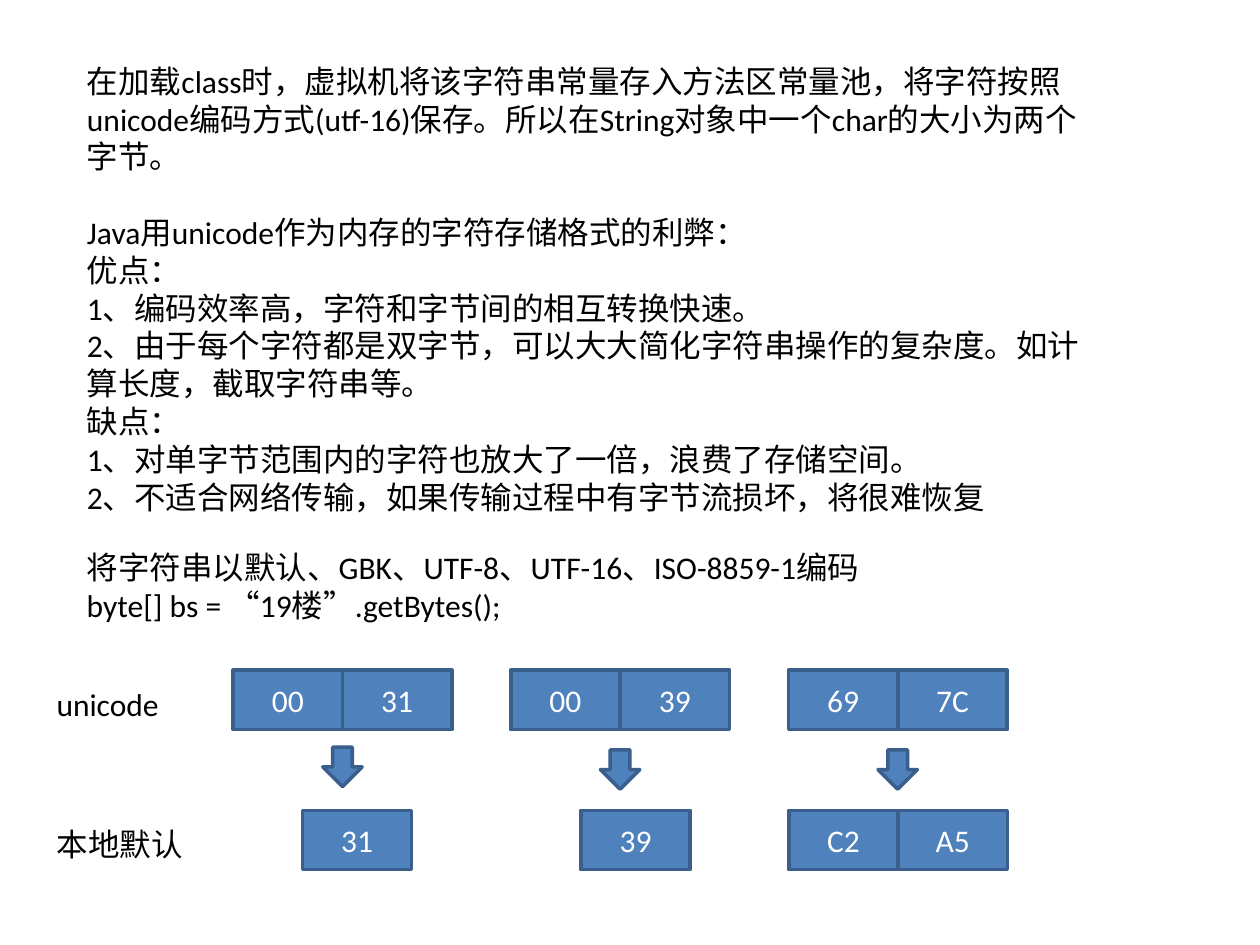
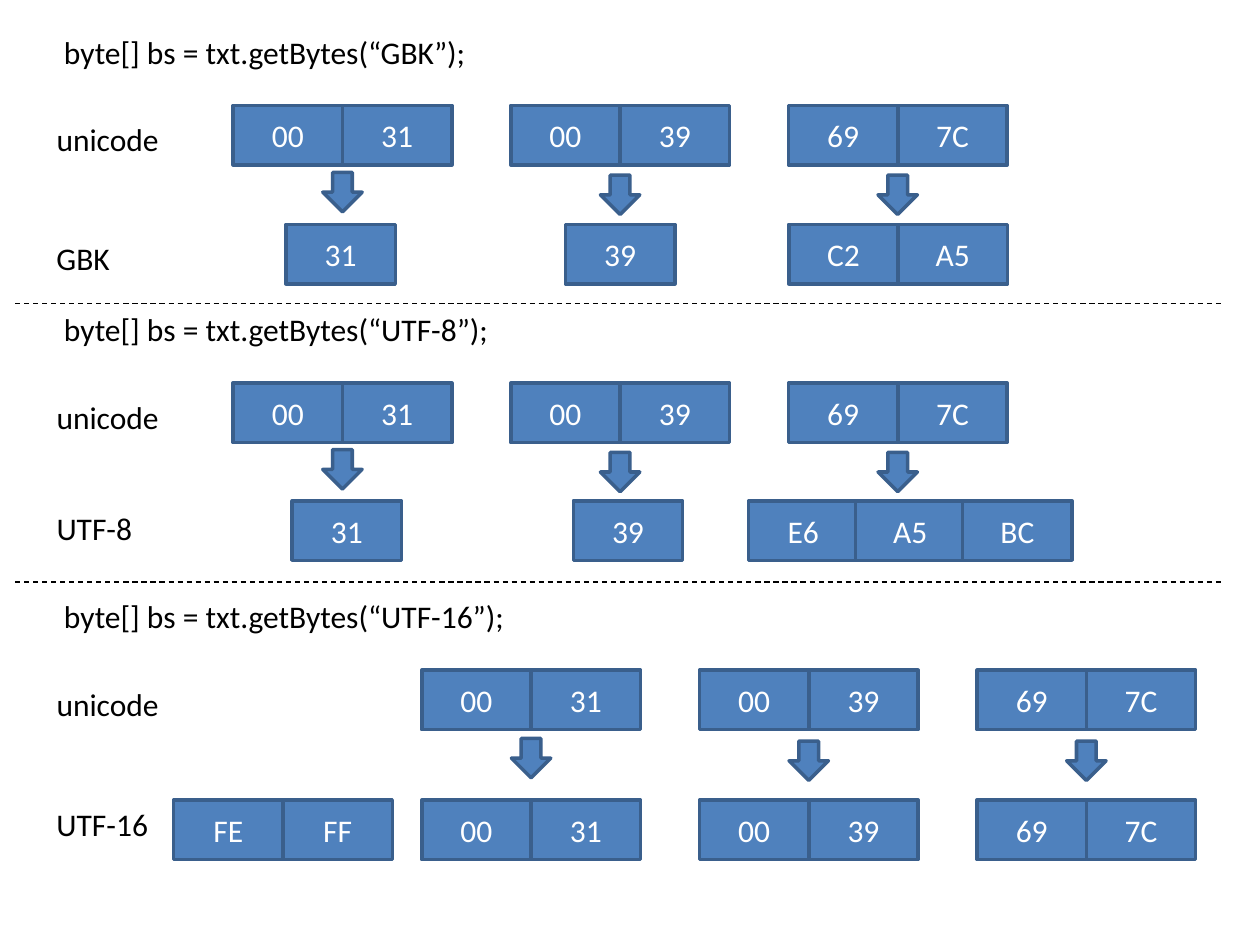
"""Build two slides showing how string characters are encoded as bytes."""
from dataclasses import dataclass

from lxml import etree
from pptx import Presentation
from pptx.dml.color import RGBColor
from pptx.enum.dml import MSO_LINE
from pptx.enum.shapes import MSO_CONNECTOR, MSO_SHAPE
from pptx.enum.text import MSO_ANCHOR, MSO_AUTO_SIZE, PP_ALIGN
from pptx.oxml.ns import qn
from pptx.util import Pt

RECTANGLE, DOWN_ARROW = MSO_SHAPE.RECTANGLE, MSO_SHAPE.DOWN_ARROW
STRAIGHT, DASH = MSO_CONNECTOR.STRAIGHT, MSO_LINE.DASH
TOP, MIDDLE, CENTER = MSO_ANCHOR.TOP, MSO_ANCHOR.MIDDLE, PP_ALIGN.CENTER
FIT_SHAPE, NO_FIT = MSO_AUTO_SIZE.SHAPE_TO_FIT_TEXT, MSO_AUTO_SIZE.NONE


@dataclass(frozen=True)
class Theme:
    font: str = "Calibri"
    size: Pt = Pt(18)
    ink: RGBColor = RGBColor(0, 0, 0)
    light: RGBColor = RGBColor(255, 255, 255)
    fill: RGBColor = RGBColor(0x4F, 0x81, 0xBD)
    outline: RGBColor = RGBColor(0x3A, 0x5F, 0x8C)


THEME = Theme()
CELL_WIDTH, CELL_HEIGHT = 62.5, 34
GROUP_STEP = 158.65
ARROW_SIZE = 22.5
LABEL_LEFT, LABEL_HEIGHT = 25.2, 28.8
TEXT_LEFT, TEXT_WIDTH = 42.5, 595.4
CODE_LEFT = 29.5


def write(shape, lines, color=THEME.ink):
    frame = shape.text_frame
    frame.text = "\n".join(lines)
    for paragraph in frame.paragraphs:
        paragraph.font.name = THEME.font
        paragraph.font.size = THEME.size
        paragraph.font.color.rgb = color
    return frame


def add_block(slide, kind, left, top, width, height, text=""):
    shape = slide.shapes.add_shape(kind, Pt(left), Pt(top), Pt(width), Pt(height))
    shape.shadow.inherit = False
    shape.fill.solid()
    shape.fill.fore_color.rgb = THEME.fill
    shape.line.color.rgb = THEME.outline
    shape.line.width = Pt(2)
    if text:
        frame = write(shape, [text], THEME.light)
        frame.vertical_anchor = MIDDLE
        frame.paragraphs[0].alignment = CENTER


presentation = Presentation()
presentation.slide_width, presentation.slide_height = Pt(720), Pt(540)
memory_slide = presentation.slides.add_slide(presentation.slide_layouts[1])
charset_slide = presentation.slides.add_slide(presentation.slide_layouts[6])

title = memory_slide.shapes.title
title.element.getparent().remove(title.element)
body = memory_slide.placeholders[1]
body.left, body.top, body.width, body.height = Pt(TEXT_LEFT), Pt(31.7), Pt(TEXT_WIDTH), Pt(269.3)
frame = write(body, [
    "在加载class时，虚拟机将该字符串常量存入方法区常量池，将字符按照unicode编码方式(utf-16)保存。"
    "所以在String对象中一个char的大小为两个字节。",
    "Java用unicode作为内存的字符存储格式的利弊：",
    "优点：",
    "1、编码效率高，字符和字节间的相互转换快速。",
    "2、由于每个字符都是双字节，可以大大简化字符串操作的复杂度。如计算长度，截取字符串等。",
    "缺点：",
    "1、对单字节范围内的字符也放大了一倍，浪费了存储空间。",
    "2、不适合网络传输，如果传输过程中有字节流损坏，将很难恢复",
])
frame.auto_size = NO_FIT
frame.vertical_anchor = TOP
for paragraph in frame.paragraphs:
    paragraph.space_before = Pt(0)
    properties = paragraph._p.get_or_add_pPr()
    properties.set("marL", "0")
    properties.set("indent", "0")
    bullet = etree.Element(qn("a:buNone"))
    properties.find(qn("a:spcBef")).addnext(bullet)
frame.paragraphs[1].space_before = Pt(21.6)

code_blocks = [
    (memory_slide, TEXT_LEFT, 309.6, 72.7,
     ["将字符串以默认、GBK、UTF-8、UTF-16、ISO-8859-1编码", "byte[] bs = “19楼”.getBytes();"]),
]
for charset, top in [("GBK", 15.1), ("UTF-8", 173.5), ("UTF-16", 337.7)]:
    code_blocks.append((charset_slide, CODE_LEFT, top, LABEL_HEIGHT,
                        [f"byte[] bs = txt.getBytes(“{charset}”);"]))
for slide, left, top, height, lines in code_blocks:
    box = slide.shapes.add_textbox(Pt(left), Pt(top), Pt(TEXT_WIDTH), Pt(height))
    frame = write(box, lines)
    frame.word_wrap = True
    frame.auto_size = FIT_SHAPE

unicode_groups = [["00", "31"], ["00", "39"], ["69", "7C"]]
diagrams = [
    (memory_slide, 133.2, 383, 427, "本地默认", 87.1, 468, 463, CELL_WIDTH,
     [(172.8, ["31"]), (331.9, ["39"]), (450.7, ["C2", "A5"])]),
    (charset_slide, 133.2, 60.3, 98.6, "GBK", 45.4, 133.2, 128.2, CELL_WIDTH,
     [(163.4, ["31"]), (323.1, ["39"]), (450.7, ["C2", "A5"])]),
    (charset_slide, 133.2, 218.9, 257, "UTF-8", 58.3, 287.3, 286.2, 61.2,
     [(167, ["31"]), (327.6, ["39"]), (427.7, ["E6", "A5", "BC"])]),
    (charset_slide, 241, 383, 422, "UTF-16", 67, 456.5, 457.2, CELL_WIDTH,
     [(99.2, ["FE", "FF"])]
     + [(241 + index * GROUP_STEP, group) for index, group in enumerate(unicode_groups)]),
]
for (slide, left, unicode_top, arrow_top, charset, label_width, label_top,
     encoded_top, encoded_step, encoded_groups) in diagrams:
    for text, top, width in [("unicode", unicode_top + 4.8, 73.4), (charset, label_top, label_width)]:
        label = slide.shapes.add_textbox(Pt(LABEL_LEFT), Pt(top), Pt(width), Pt(LABEL_HEIGHT))
        frame = write(label, [text])
        frame.word_wrap = False
        frame.auto_size = FIT_SHAPE

    placed_groups = [(encoded_top, encoded_step, start, group) for start, group in encoded_groups]
    for index, group in enumerate(unicode_groups):
        start = left + index * GROUP_STEP
        placed_groups.append((unicode_top, CELL_WIDTH, start, group))
        add_block(slide, DOWN_ARROW, start + CELL_WIDTH - ARROW_SIZE / 2,
                  arrow_top + (1.5 if index else 0), ARROW_SIZE, ARROW_SIZE)
    for top, step, start, group in placed_groups:
        for index, value in enumerate(group):
            add_block(slide, RECTANGLE, start + index * step, top, CELL_WIDTH, CELL_HEIGHT, value)

for top in (173.5, 332.6):
    divider = charset_slide.shapes.add_connector(STRAIGHT, Pt(8.6), Pt(top), Pt(699.8), Pt(top))
    divider.line.color.rgb = THEME.ink
    divider.line.width = Pt(0.75)
    divider.line.dash_style = DASH
    etree.SubElement(divider._element.spPr, qn("a:effectLst"))

presentation.save("out.pptx")
